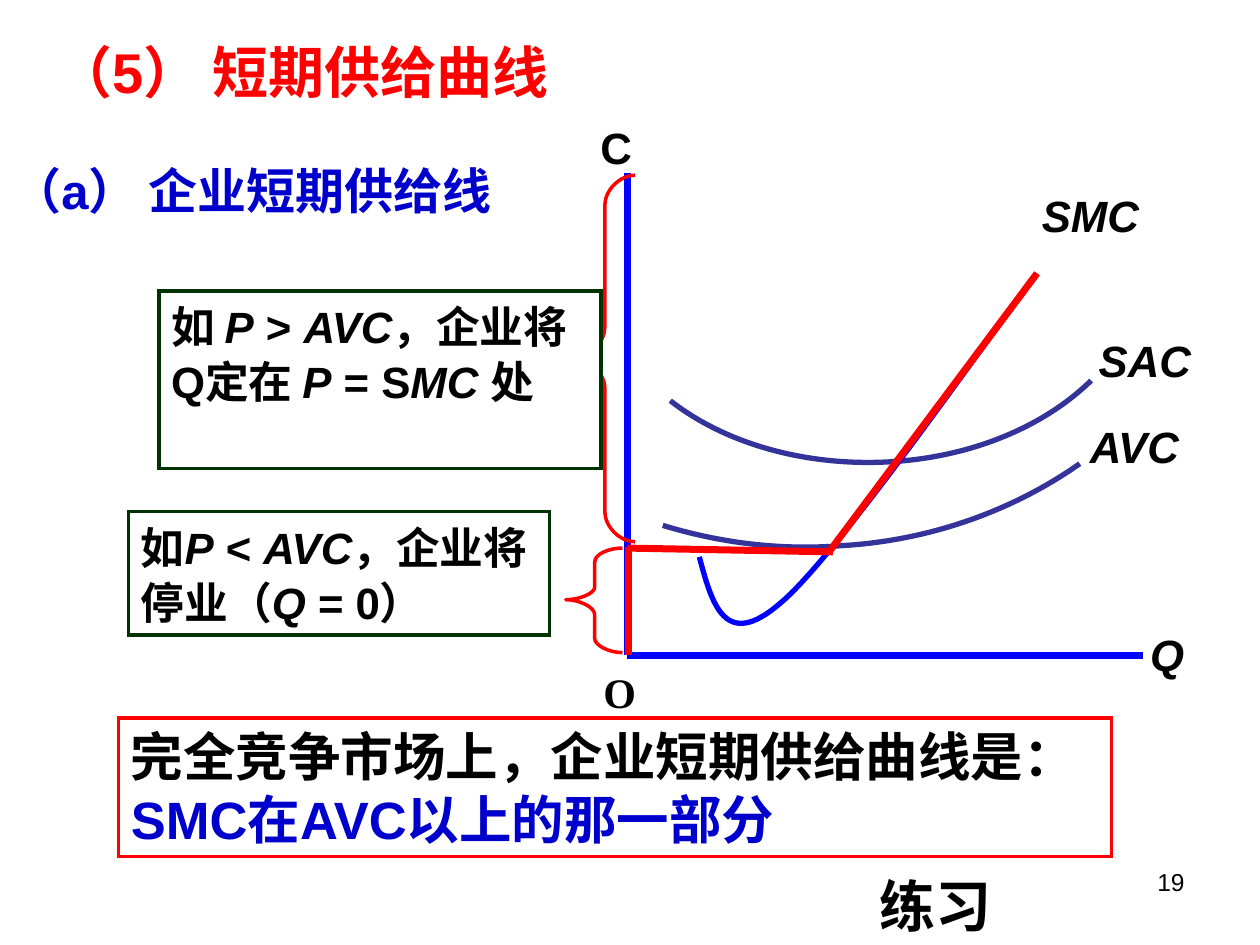
from lxml import etree
from pptx import Presentation
from pptx import util as u
from pptx.dml.color import RGBColor
from pptx.enum import shapes, text
from pptx.oxml.ns import qn

PX = 9144  # 100 px to the inch
COLORS = {"black": "000000", "white": "FFFFFF", "red": "FF0000", "axis": "0000FF",
          "heading": "0000CC", "curve": "333399", "green": "003300"}

presentation = Presentation()
presentation.slide_width, presentation.slide_height = 1000 * PX, 750 * PX
slide = presentation.slides.add_slide(presentation.slide_layouts[6])


def write_text(box, runs, size=25, color="black", font="Arial", bold=True, italic=False,
               align="LEFT", anchor="TOP", spacing=None, margins=(10, 5), wrap=True,
               fill=None, line=None, width=2):
    """Place text in a box; a run is a string or a (string, format changes) pair."""
    left, top, box_width, height = (value * PX for value in box)
    if line:
        shape = slide.shapes.add_shape(shapes.MSO_SHAPE.RECTANGLE, left, top, box_width, height)
        shape.shadow.inherit = False
        shape.line.color.rgb = RGBColor.from_string(COLORS[line])
        shape.line.width = u.Pt(width)
        etree.SubElement(shape.line._get_or_add_ln(), qn("a:miter"), lim="800000")
        if fill:
            shape.fill.solid()
            shape.fill.fore_color.rgb = RGBColor.from_string(COLORS[fill])
        else:
            shape.fill.background()
    else:
        shape = slide.shapes.add_textbox(left, top, box_width, height)
    frame = shape.text_frame
    frame.word_wrap = wrap
    frame.vertical_anchor = getattr(text.MSO_ANCHOR, anchor)
    frame.margin_left = frame.margin_right = margins[0] * PX
    frame.margin_top = frame.margin_bottom = margins[1] * PX
    paragraph = frame.paragraphs[0]
    paragraph.alignment = getattr(text.PP_ALIGN, align)
    if spacing:
        paragraph.line_spacing = spacing
    for item in [runs] if isinstance(runs, str) else runs:
        words, changes = (item, {}) if isinstance(item, str) else item
        run = paragraph.add_run()
        run.text = words
        run.font.name = font
        run.font.size = u.Pt(size)
        run.font.bold = bold
        run.font.italic = changes.get("italic", italic)
        run.font.color.rgb = RGBColor.from_string(COLORS[changes.get("color", color)])


def draw_curve(pieces, color, width, fill=None):
    """Draw cubic curves, each given by four points; straight lines bridge any gap."""
    points, bends = [pieces[0][0]], []
    for piece in pieces:
        if piece[0] != points[-1]:
            points.append(piece[0])
        bends.append(len(points) - 1)
        points += piece[1:]
    builder = slide.shapes.build_freeform(*points[0], scale=PX)
    builder.add_line_segments(points[1:], close=False)
    shape = builder.convert_to_shape()
    # Merge the three segments of each piece into one Bezier segment
    segments = list(shape._element.iter(qn("a:lnTo")))
    for first in bends:
        bezier = etree.Element(qn("a:cubicBezTo"))
        segments[first].addprevious(bezier)
        for segment in segments[first:first + 3]:
            bezier.append(segment[0])
            segment.getparent().remove(segment)
    shape.shadow.inherit = False
    shape.line.color.rgb = RGBColor.from_string(COLORS[color])
    shape.line.width = u.Pt(width)
    if fill:
        shape.fill.solid()
        shape.fill.fore_color.rgb = RGBColor.from_string(COLORS[fill])
    else:
        shape.fill.background()


ITALIC = {"italic": True}

# Slide number and conclusion
write_text((717, 683, 233, 52), "19", size=14, bold=False, align="RIGHT")
write_text((94, 570, 788, 110),
           ["完全竞争市场上，企业短期供给曲线是：", ("SMC在AVC以上的那一部分", {"color": "heading"})],
           size=30, fill="white", line="red")

# Axis labels and section heading
write_text((903, 493, 59, 52), "Q", italic=True)
write_text((429, 91, 120, 52), "C", align="CENTER")
write_text((0, 115, 484, 71), "（a） 企业短期供给线", size=28, color="heading", anchor="MIDDLE")

# Average cost curves
draw_curve([[(866, 302), (824, 343), (759, 367), (689, 367)],
            [(689, 367), (630, 367), (573, 350), (532, 318)]], "curve", 3)
write_text((872, 265, 81, 42), "SAC", italic=True, margins=(0, 0))
draw_curve([[(857, 368), (803, 406), (737, 429), (669, 433)],
            [(669, 433), (620, 437), (572, 431), (526, 417)]], "curve", 3)
write_text((865, 333, 86, 42), "AVC", italic=True, margins=(0, 0))

# Marginal cost curve
draw_curve([[(555, 442), (565, 479), (575, 517), (619, 479)],
            [(619, 479), (664, 442), (789, 261), (823, 217)]], "axis", 3)

# Axes, then the supply line in red
for x1, y1, x2, y2, color in [(498, 137, 498, 520, "axis"), (498, 520, 907, 520, "axis"),
                              (661, 438, 498, 435, "red"), (499, 520, 499, 434, "red"),
                              (658, 438, 823, 217, "red")]:
    connector = slide.shapes.add_connector(shapes.MSO_CONNECTOR.STRAIGHT,
                                           x1 * PX, y1 * PX, x2 * PX, y2 * PX)
    connector.line.color.rgb = RGBColor.from_string(COLORS[color])
    connector.line.width = u.Pt(4)
    etree.SubElement(connector._element.spPr, qn("a:effectLst"))

# Braces: four rounded corners each, joined by straight sides
for left, top, right, bottom, radius, fill in [(455, 139, 504, 430, 24, None),
                                               (449, 435, 494, 518, 11, "white")]:
    middle_x, middle_y = (left + right) / 2, (top + bottom) / 2
    corners = [((right, top), (middle_x, top), (middle_x, top + radius)),
               ((middle_x, middle_y - radius), (middle_x, middle_y), (left, middle_y)),
               ((left, middle_y), (middle_x, middle_y), (middle_x, middle_y + radius)),
               ((middle_x, bottom - radius), (middle_x, bottom), (right, bottom))]
    pieces = []
    for start, corner, end in corners:
        handles = [((p[0] + corner[0]) / 2, (p[1] + corner[1]) / 2) for p in (start, end)]
        pieces.append([start, *handles, end])
    draw_curve(pieces, "red", 2, fill=fill)

# Price cases
write_text((126, 231, 351, 141),
           ["如 ", ("P", ITALIC), " > ", ("AVC", ITALIC), "，企业将Q定在 ",
            ("P", ITALIC), " = S", ("MC ", ITALIC), "处"],
           spacing=1.05, fill="white", line="green")
write_text((102, 406, 334, 98),
           ["如", ("P", ITALIC), " < ", ("AVC", ITALIC), "，企业将停业（",
            ("Q", ITALIC), " = 0）"],
           spacing=1.05, fill="white", line="green")

# Marginal cost label and origin
write_text((817, 145, 97, 52), "SMC", italic=True, wrap=False,
           fill="white", line="white", width=2.25)
write_text((469, 524, 46, 50), "O", size=24, font="Times New Roman", wrap=False)

# Main heading and exercise button
write_text((35, 21, 787, 71), "（5） 短期供给曲线", size=32, color="red", anchor="MIDDLE")
write_text((688, 687, 167, 63), "练习", size=32, line="white", width=0.75)

presentation.save("out.pptx")
